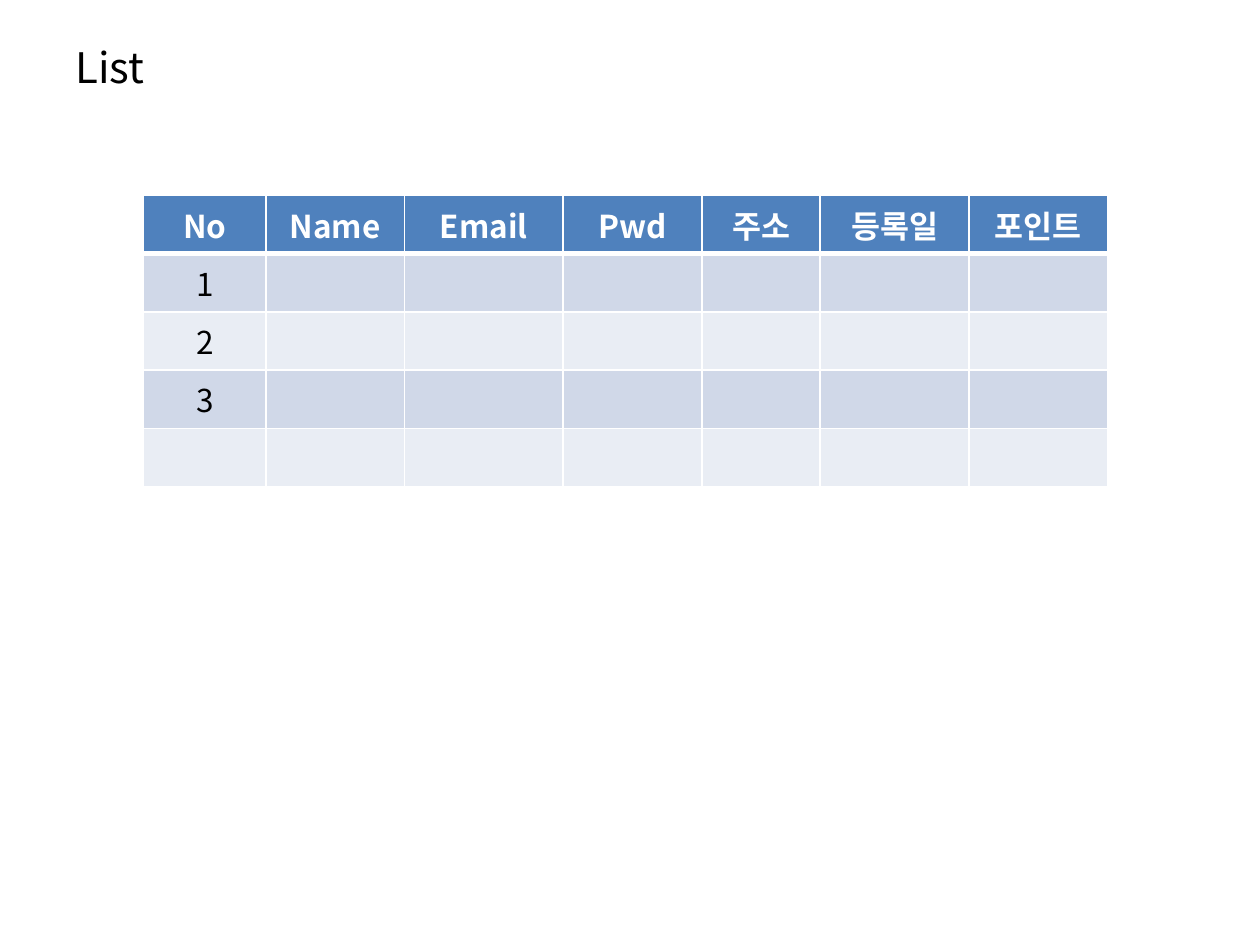
import pptx
import pptx.util
import pptx.dml.color
import pptx.enum.text
import pptx.oxml.ns
import lxml.etree

Inches, Pt = pptx.util.Inches, pptx.util.Pt
PP_ALIGN = pptx.enum.text.PP_ALIGN
qn = pptx.oxml.ns.qn

FONT = "Noto Sans CJK KR"
COLORS = {
    "text": "000000",
    "line": "FFFFFF",
    "header": "4F81BD",
    "header_text": "FFFFFF",
    "odd": "D0D8E8",
    "even": "E9EDF4",
}
HEADERS = ["No", "Name", "Email", "Pwd", "주소", "등록일", "포인트"]
NUMBERS = ["1", "2", "3", ""]
COL_WIDTHS = [0.97, 1.1, 1.26, 1.1, 0.94, 1.18, 1.1]
ROW_HEIGHT = 0.41


def rgb(name):
    return pptx.dml.color.RGBColor.from_string(COLORS[name])


class SlideBuilder:
    def __init__(self, prs):
        self.s = prs.slides.add_slide(prs.slide_layouts[5])

    def add_run(self, p, text, size, color, bold=False):
        r = p.add_run()
        r.text = text
        r.font.size = Pt(size)
        r.font.name = FONT
        r.font.bold = bold
        r.font.color.rgb = rgb(color)
        ea = lxml.etree.SubElement(r.font._element, qn("a:ea"))
        ea.set("typeface", FONT)

    def title(self, text, left, top, width, height):
        sp = self.s.shapes.title
        sp.left, sp.top = Inches(left), Inches(top)
        sp.width, sp.height = Inches(width), Inches(height)
        tf = sp.text_frame
        tf.vertical_anchor = pptx.enum.text.MSO_ANCHOR.MIDDLE
        p = tf.paragraphs[0]
        p.alignment = PP_ALIGN.LEFT
        self.add_run(p, text, 24, "text")

    def borders(self, cell, top, bottom):
        tc_pr = cell._tc.get_or_add_tcPr()
        for side, width in zip("LRTB", (1, 1, top, bottom)):
            ln = lxml.etree.SubElement(tc_pr, qn(f"a:ln{side}"), w=str(Pt(width)))
            fill = lxml.etree.SubElement(ln, qn("a:solidFill"))
            lxml.etree.SubElement(fill, qn("a:srgbClr"), val=COLORS["line"])

    def empty_paragraph(self, p, size):
        """Give a blank cell the line height of the filled ones."""
        end = lxml.etree.SubElement(p._p, qn("a:endParaRPr"), sz=str(size * 100))
        for tag in ("a:latin", "a:ea"):
            lxml.etree.SubElement(end, qn(tag), typeface=FONT)

    def table(self, rows, left, top):
        frame = self.s.shapes.add_table(
            len(rows), len(COL_WIDTHS), Inches(left), Inches(top),
            Inches(sum(COL_WIDTHS)), Inches(ROW_HEIGHT * len(rows)))
        tbl = frame.table
        for col, width in zip(tbl.columns, COL_WIDTHS):
            col.width = Inches(width)
        for i, row in enumerate(rows):
            tbl.rows[i].height = Inches(ROW_HEIGHT)
            is_header = i == 0
            fill = "header" if is_header else "odd" if i % 2 else "even"
            color = "header_text" if is_header else "text"
            for j, text in enumerate(row):
                cell = tbl.cell(i, j)
                self.borders(cell, 3 if i == 1 else 1, 3 if is_header else 1)
                cell.fill.solid()
                cell.fill.fore_color.rgb = rgb(fill)
                p = cell.text_frame.paragraphs[0]
                p.alignment = PP_ALIGN.CENTER
                if text:
                    self.add_run(p, text, 18, color, is_header)
                else:
                    self.empty_paragraph(p, 18)


def main():
    prs = pptx.Presentation()
    prs.slide_width, prs.slide_height = Inches(10), Inches(7.5)
    slide = SlideBuilder(prs)
    slide.title("List", 0.5, 0.3, 9, 0.46)
    blanks = [""] * (len(HEADERS) - 1)
    slide.table([HEADERS] + [[n] + blanks for n in NUMBERS], 1.14, 1.55)
    prs.save("out.pptx")


if __name__ == "__main__":
    main()
